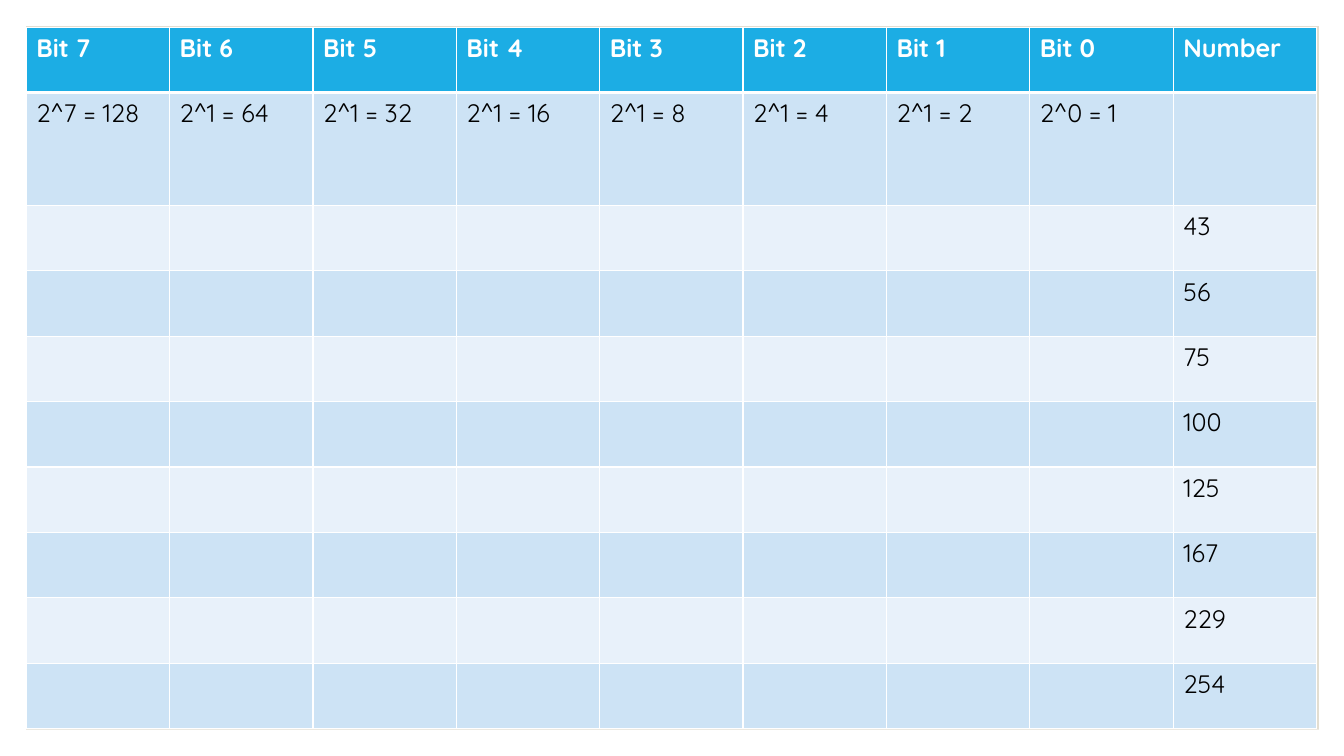
from lxml.etree import SubElement
from pptx import Presentation
from pptx.dml.color import RGBColor
from pptx.enum.shapes import MSO_SHAPE
from pptx.oxml.ns import qn
from pptx.util import Inches, Pt

COLORS = {
    "white": "FFFFFF",
    "black": "000000",
    "frame": "E3DED1",
    "header": "1CADE4",
    "dark_band": "CDE3F5",
    "light_band": "E8F1FA",
}
FONT = "Quicksand"
PLACE_VALUES = ["2^7 = 128", "2^1 = 64", "2^1 = 32", "2^1 = 16",
                "2^1 = 8", "2^1 = 4", "2^1 = 2", "2^0 = 1"]
NUMBERS = [43, 56, 75, 100, 125, 167, 229, 254]
PLACE_VALUE_HEIGHT = 1.12


def rgb(name):
    return RGBColor.from_string(COLORS[name])


def write_text(text_frame, text, size=18, color="black", bold=False):
    run = text_frame.paragraphs[0].add_run()
    run.text = text
    run.font.name = FONT
    run.font.size = Pt(size)
    run.font.bold = bold
    run.font.color.rgb = rgb(color)


def set_borders(cell, top=1, bottom=1):
    properties = cell._tc.get_or_add_tcPr()
    for side, width in (("L", 1), ("R", 1), ("T", top), ("B", bottom)):
        line = SubElement(properties, qn(f"a:ln{side}"), w=str(Pt(width)))
        fill = SubElement(line, qn("a:solidFill"))
        SubElement(fill, qn("a:srgbClr"), val=COLORS["white"])


def add_frame(slide, left, top, width, height):
    shape = slide.shapes.add_shape(
        MSO_SHAPE.RECTANGLE, Inches(left), Inches(top), Inches(width), Inches(height))
    shape.shadow.inherit = False
    shape.fill.solid()
    shape.fill.fore_color.rgb = rgb("frame")
    shape.line.fill.background()


def add_bit_table(slide, left, top, width, height):
    bits = len(PLACE_VALUES)
    rows = [[f"Bit {bit}" for bit in reversed(range(bits))] + ["Number"],
            PLACE_VALUES + [""]]
    rows += [[""] * bits + [str(number)] for number in NUMBERS]
    table = slide.shapes.add_table(
        len(rows), bits + 1, Inches(left), Inches(top), Inches(width), Inches(height)).table
    for column in table.columns:
        column.width = Inches(width / (bits + 1))
    row_height = (height - PLACE_VALUE_HEIGHT) / (len(rows) - 1)
    for index, texts in enumerate(rows):
        table.rows[index].height = Inches(PLACE_VALUE_HEIGHT if index == 1 else row_height)
        is_header = index == 0
        band = "header" if is_header else "dark_band" if index % 2 else "light_band"
        for column_index, text in enumerate(texts):
            cell = table.cell(index, column_index)
            set_borders(cell, top=3 if index == 1 else 1, bottom=3 if is_header else 1)
            cell.fill.solid()
            cell.fill.fore_color.rgb = rgb(band)
            if text:
                write_text(cell.text_frame, text, bold=is_header,
                           color="white" if is_header else "black")


presentation = Presentation()
presentation.slide_width = Inches(13.33)
presentation.slide_height = Inches(7.5)
slide = presentation.slides.add_slide(presentation.slide_layouts[6])
add_frame(slide, 0.26, 0.26, 12.82, 6.98)
add_bit_table(slide, 0.26, 0.27, 12.8, 6.96)
presentation.save("out.pptx")
